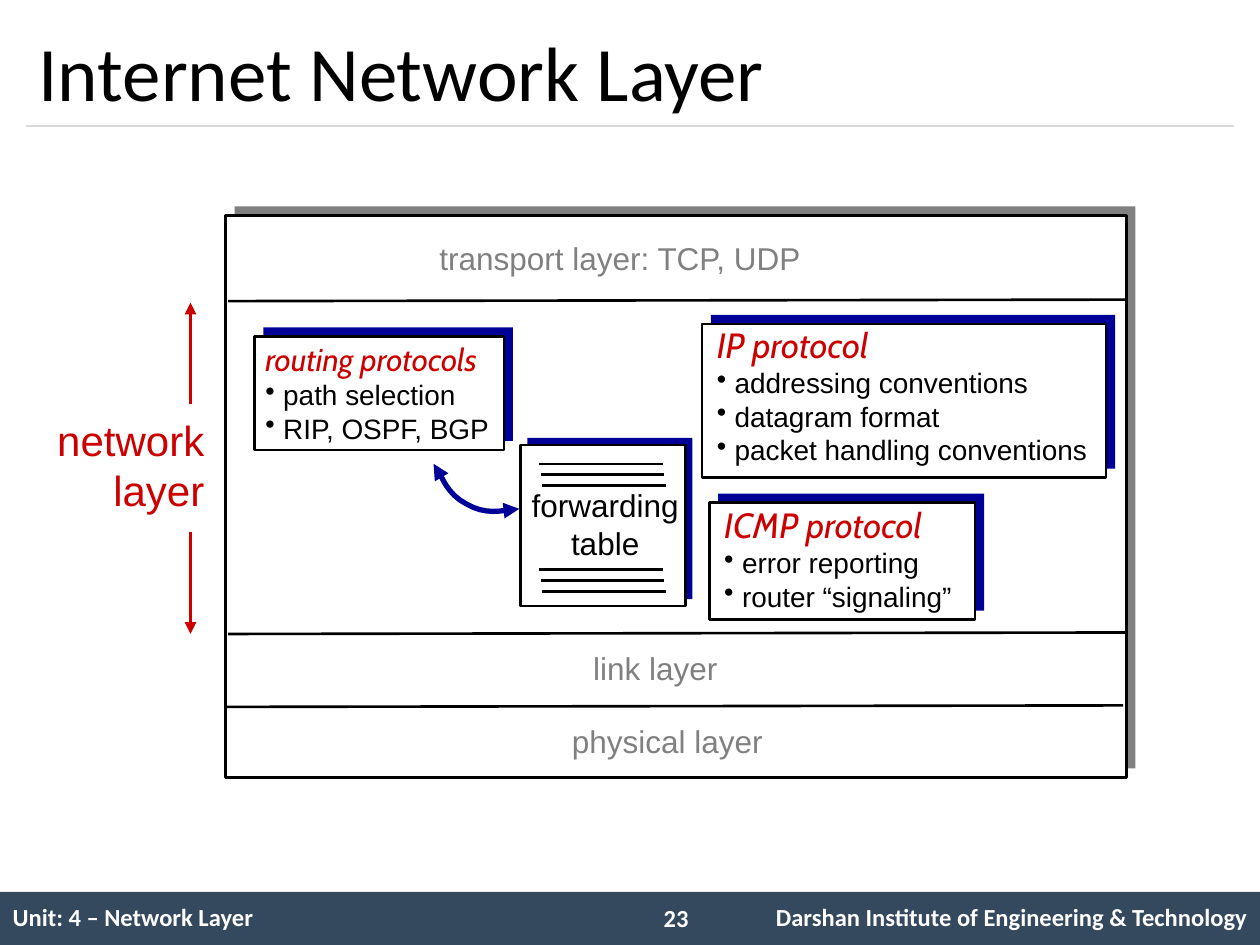
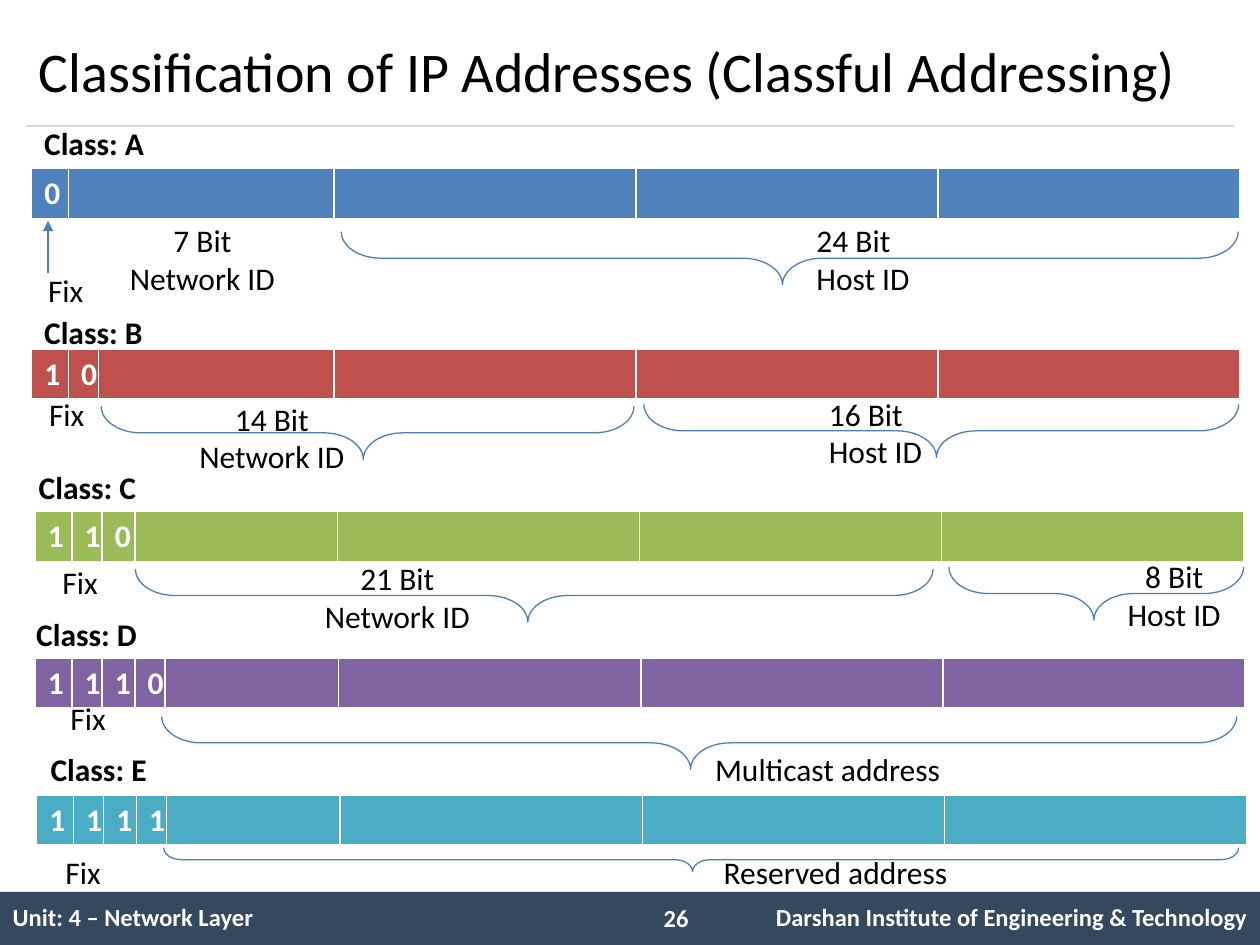
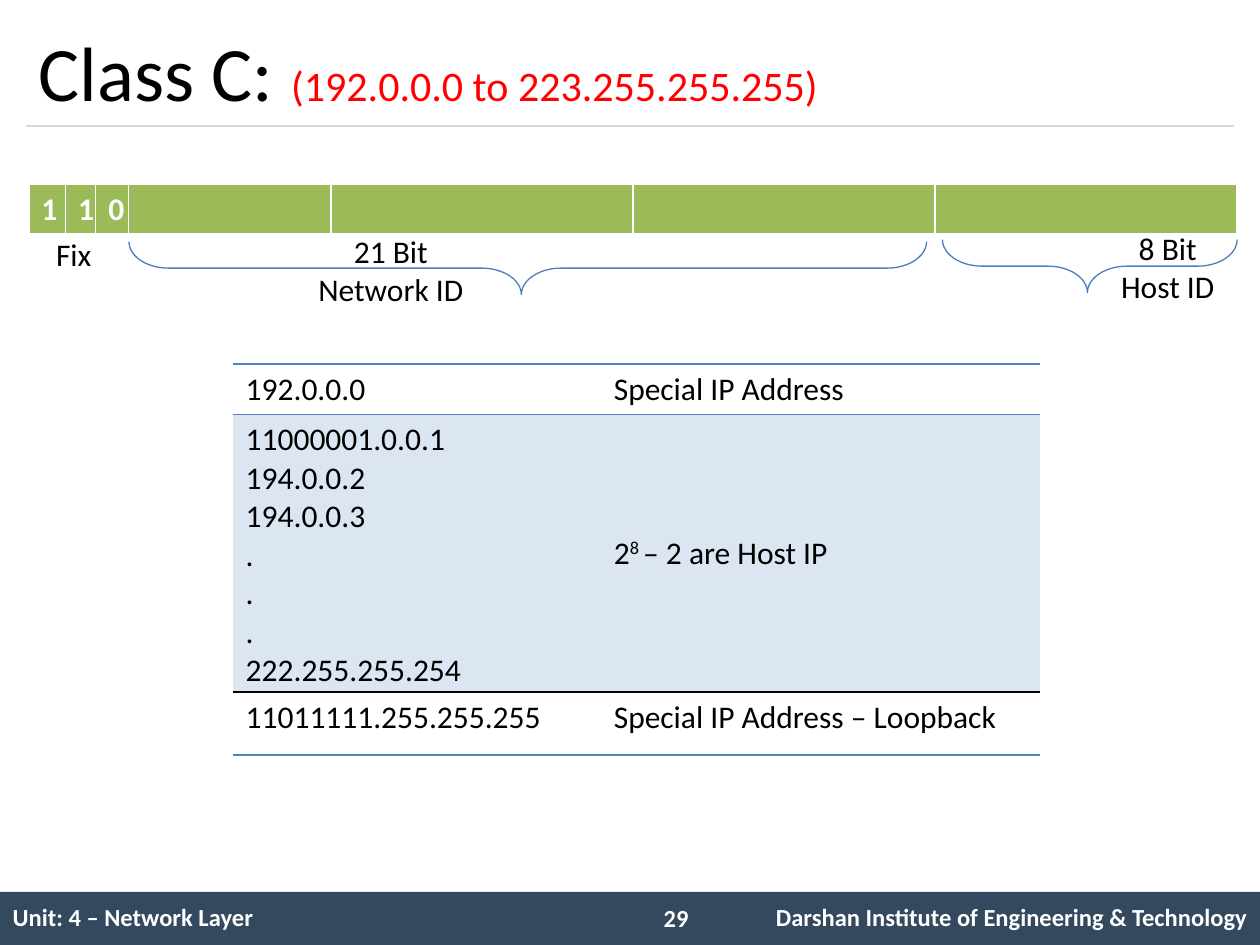
import pptx
import pptx.util
import pptx.dml.color
import pptx.enum.shapes
import pptx.enum.text
import pptx.oxml.ns
from lxml import etree

Cm = pptx.util.Cm
Pt = pptx.util.Pt
RGB = pptx.dml.color.RGBColor
Shape = pptx.enum.shapes.MSO_SHAPE
Align = pptx.enum.text.PP_ALIGN
Anchor = pptx.enum.text.MSO_ANCHOR
qn = pptx.oxml.ns.qn

BLACK = RGB(0, 0, 0)
WHITE = RGB(255, 255, 255)
SLATE = RGB(0x34, 0x49, 0x5E)
RULE = RGB(0xD9, 0xD9, 0xD9)
GRAY = RGB(0x80, 0x80, 0x80)
NAVY = RGB(0, 0, 0x99)
CRIMSON = RGB(0xCC, 0, 0)
RED = RGB(255, 0, 0)
BRACE = RGB(0x4B, 0x7E, 0xBC)
BLUE = RGB(0x4F, 0x81, 0xBD)
PALE = RGB(0xDC, 0xE6, 0xF2)
BRICK = RGB(0xC0, 0x50, 0x4D)
GREEN = RGB(0x9B, 0xBB, 0x59)
PURPLE = RGB(0x80, 0x64, 0xA2)
TEAL = RGB(0x4B, 0xAC, 0xC6)

PLAIN = "{2D5ABB26-0587-4C30-8999-92F81FD0307C}"
WIDTH, HEIGHT = 25.4, 19.05
BITS = (0.74, 0.61, 0.66, 0.58)
OCTET = 6.09
BAR = 1.04

CLASS_C = dict(
    bits="110", color=GREEN, fix=(0.3, 0.91),
    braces=[(2.02, 1.16, 16.08, 1.07), (18.42, 1.12, 5.94, 1.07)],
    notes=[("21 Bit Network ID", 5.56, 0.84, 3.48, Align.CENTER),
           ("8 Bit Host ID", 21.56, 0.79, 2.8, Align.CENTER)])

CLASSES = [
    ("Class: A", 0.64, 3.4, (0, -1.02, 2.54), dict(
        bits="0", color=BLUE, fix=(0.08, 1.93),
        braces=[(6.24, 1.27, 18.08, 1.07)],
        notes=[("7 Bit Network ID", 1.7, 0.94, 3.48, Align.CENTER),
               ("24 Bit Host ID", 15.57, 0.94, 2.84, Align.LEFT)])),
    ("Class: B", 0.64, 7.04, (0, -0.86, 2.51), dict(
        bits="10", color=BRICK, fix=(0.1, 0.79),
        braces=[(1.4, 1.15, 10.74, 1.07), (12.34, 1.11, 11.99, 1.07)],
        notes=[("14 Bit Network ID", 3.1, 0.89, 3.48, Align.CENTER),
               ("16 Bit Host ID", 15.82, 0.79, 2.84, Align.LEFT)])),
    ("Class: C", 0.71, 10.31, (-0.18, -0.99, 2.49), CLASS_C),
    ("Class: D", 0.71, 13.26, (-0.23, -0.99, 2.57), dict(
        bits="1110", color=PURPLE, fix=(0.46, 0.71),
        braces=[(2.55, 1.18, 21.67, 1.07)],
        notes=[("Multicast address", 12.95, 1.73, 6.05, Align.CENTER)])),
    ("Class: E", 0.74, 16.03, (0.03, -1.04, 2.46), dict(
        bits="1111", color=TEAL, fix=(0.33, 1.04),
        braces=[(2.56, 1.06, 21.67, 0.48)],
        notes=[("Reserved address", 13.08, 1.04, 6.05, Align.CENTER)])),
]


def style(para, size=18, color=BLACK, face="Calibri", bold=False,
          italic=False, align=Align.LEFT):
    para.alignment = align
    font = para.font
    font.size = Pt(size)
    font.name = face
    font.bold = bold
    font.italic = italic
    font.color.rgb = color


def fill_text(frame, lines, **look):
    for i, line in enumerate(lines):
        para = frame.paragraphs[0] if i == 0 else frame.add_paragraph()
        para.text = line
        style(para, **look)


def text(slide, x, y, w, h, lines, wrap=True, **look):
    frame = slide.shapes.add_textbox(Cm(x), Cm(y), Cm(w), Cm(h)).text_frame
    frame.word_wrap = wrap
    frame.auto_size = pptx.enum.text.MSO_AUTO_SIZE.SHAPE_TO_FIT_TEXT
    fill_text(frame, lines, **look)
    return frame


def rect(slide, x, y, w, h, color, edge=None):
    shape = slide.shapes.add_shape(Shape.RECTANGLE, Cm(x), Cm(y), Cm(w), Cm(h))
    shape.shadow.inherit = False
    shape.fill.solid()
    shape.fill.fore_color.rgb = color
    if edge is None:
        shape.line.fill.background()
    else:
        shape.line.color.rgb = edge
        shape.line.width = Pt(1.5)


def tips(shape, *ends):
    ln = shape.line._get_or_add_ln()
    for end in ends:
        etree.SubElement(ln, qn("a:" + end)).set("type", "triangle")


def line(slide, x1, y1, x2, y2, color=BLACK, width=1.5, arrow=False):
    link = slide.shapes.add_connector(
        pptx.enum.shapes.MSO_CONNECTOR.STRAIGHT, Cm(x1), Cm(y1), Cm(x2), Cm(y2))
    link.line.color.rgb = color
    link.line.width = Pt(width)
    if arrow:
        tips(link, "tailEnd")
    etree.SubElement(link._element.spPr, qn("a:effectLst"))


def grid(slide, x, y, cols, rows):
    table = slide.shapes.add_table(
        len(rows), len(cols), Cm(x), Cm(y), Cm(sum(cols)), Cm(sum(rows))).table
    table.first_row = table.horz_banding = False
    table._tbl.tblPr.find(qn("a:tableStyleId")).text = PLAIN
    for col, size in zip(table.columns, cols):
        col.width = Cm(size)
    for row, size in zip(table.rows, rows):
        row.height = Cm(size)
    return table


def border(cell, **sides):
    props = cell._tc.get_or_add_tcPr()
    for side in "LRTB":
        if side in sides:
            color, width = sides[side]
            ln = etree.SubElement(props, qn("a:ln" + side))
            ln.set("w", str(Pt(width)))
            solid = etree.SubElement(ln, qn("a:solidFill"))
            etree.SubElement(solid, qn("a:srgbClr")).set("val", str(color))


def paint(cell, color=None):
    if color is None:
        cell.fill.background()
    else:
        cell.fill.solid()
        cell.fill.fore_color.rgb = color


def base(deck, number):
    slide = deck.slides.add_slide(deck.slide_layouts[6])
    top = 17.98
    rect(slide, 0, top, WIDTH, HEIGHT - top, SLATE)
    line(slide, 0.53, 2.54, 24.87, 2.54, RULE, 0.75)
    foot = grid(slide, 0, top, (12.9, 1.7, 10.8), (1.07,))
    words = ("Unit: 4 – Network Layer", "",
             "Darshan Institute of Engineering & Technology")
    sides = (Align.LEFT, Align.CENTER, Align.RIGHT)
    for cell, word, side in zip(foot.rows[0].cells, words, sides):
        paint(cell)
        cell.vertical_anchor = Anchor.MIDDLE
        fill_text(cell.text_frame, [word], size=14, color=WHITE, bold=True,
                  align=side)
    text(slide, 13.13, 18.08, 1.47, 0.86, [str(number)], size=14, color=WHITE,
         bold=True)
    return slide


def title(slide, words, size=44):
    frame = text(slide, 0.53, 0.3, 24.34, 2.24, [words], size=size)
    frame.auto_size = pptx.enum.text.MSO_AUTO_SIZE.NONE
    frame.vertical_anchor = Anchor.MIDDLE
    return frame.paragraphs[0]


def raised(slide, x, y, w, h, shade=NAVY, lift=0.18):
    rect(slide, x + lift, y - lift, w, h, shade)
    rect(slide, x, y, w, h, WHITE, BLACK)


def card(slide, x, y, w, h, head, items, size=20, dx=0.05, dy=-0.1):
    raised(slide, x, y, w, h)
    frame = text(slide, x + dx, y + dy, w, h, [head], wrap=False, size=size,
                 color=CRIMSON, face="Cabin", italic=True)
    for item in items:
        para = frame.add_paragraph()
        para.text = item
        props = para._p.get_or_add_pPr()
        props.set("marL", str(Cm(0.36)))
        props.set("indent", str(-Cm(0.36)))
        etree.SubElement(props, qn("a:buChar")).set("char", "•")
        style(para, size=16, face="Arial")


def lookup(slide, x, y, w, h):
    raised(slide, x, y, w, h, lift=0.14)
    text(slide, x - 0.03, y + 0.71, 3.48, 1.78, ["forwarding", "table"],
         wrap=False, face="Arial", align=Align.CENTER)
    for top in (0.38, 2.51):
        for i in range(3):
            left, level = x + 0.38 + 0.03 * i, y + top + 0.22 * i
            line(slide, left, level, left + 2.49, level)


def curve(slide, x, y):
    knots = [(0, 0), (0.13, 0.08), (0.18, 0.56), (0.66, 0.81),
             (1.14, 1.09), (1.52, 0.89), (1.73, 0.91)]
    steps = 10
    dots = []
    for first in (0, 3):
        for i in range(1, steps + 1):
            t = i / steps
            blend = ((1 - t) ** 3, 3 * t * (1 - t) ** 2,
                     3 * t * t * (1 - t), t ** 3)
            part = list(zip(blend, knots[first:first + 4]))
            dots.append((Cm(x + sum(b * k[0] for b, k in part)),
                         Cm(y + sum(b * k[1] for b, k in part))))
    maker = slide.shapes.build_freeform(Cm(x), Cm(y))
    maker.add_line_segments(dots, close=False)
    shape = maker.convert_to_shape()
    shape.shadow.inherit = False
    shape.fill.background()
    shape.line.color.rgb = NAVY
    shape.line.width = Pt(3)
    tips(shape, "headEnd", "tailEnd")


def stack(slide, x, y, w, h):
    raised(slide, x, y, w, h, GRAY)
    for dx, dy in ((0.05, 1.73), (0.05, 8.44), (-0.03, 9.91)):
        line(slide, x + dx, y + dy, x + dx + w - 0.04, y + dy - 0.03)
    for word, dx, dy, size in (
            ("transport layer: TCP, UDP", 4.06, 0.36, 7.87),
            ("link layer", 7.16, 8.61, 3.02),
            ("physical layer", 6.73, 10.09, 4.37)):
        text(slide, x + dx, y + dy, size, 1.02, [word], wrap=False,
             color=GRAY, face="Arial")
    lookup(slide, x + 5.94, y + 4.63, 3.33, 3.25)
    card(slide, x + 0.58, y + 2.44, 5.03, 2.29, "routing protocols",
         ["path selection", "RIP, OSPF, BGP"], size=18, dx=-0.03, dy=-0.05)
    curve(slide, x + 4.19, y + 5.01)
    card(slide, x + 9.6, y + 2.19, 8.15, 3.1, "IP protocol",
         ["addressing conventions", "datagram format",
          "packet handling conventions"], dy=-0.13)
    card(slide, x + 9.75, y + 5.79, 5.36, 2.36, "ICMP protocol",
         ["error reporting", "router “signaling”"])
    text(slide, x - 3.66, y + 3.89, 3.48, 2.29, ["network", "layer"],
         wrap=False, size=24, color=CRIMSON, face="Arial", align=Align.RIGHT)
    for start, end in ((3.81, 1.76), (6.38, 8.44)):
        line(slide, x - 0.71, y + start, x - 0.71, y + end, CRIMSON, 2.25, True)


def brace(slide, x, y, w, h):
    shape = slide.shapes.add_shape(
        Shape.LEFT_BRACE, Cm(x + (w - h) / 2), Cm(y + (h - w) / 2), Cm(h), Cm(w))
    shape.rotation = 270
    shape.adjustments[0] = 0.744
    shape.adjustments[1] = 0.492
    shape.shadow.inherit = False
    shape.fill.background()
    shape.line.color.rgb = BRACE
    shape.line.width = Pt(0.75)


def address(slide, x, y, bits, color, fix, braces, notes):
    heads = BITS[:len(bits)]
    cols = (*heads, OCTET - sum(heads), OCTET, OCTET, OCTET)
    table = grid(slide, x, y, cols, (BAR,))
    thin, thick = (WHITE, 1), (WHITE, 3)
    for i, cell in enumerate(table.rows[0].cells):
        border(cell, L=thin, R=thin, T=thin, B=thick)
        paint(cell, color)
        fill_text(cell.text_frame, [bits[i:i + 1]], color=WHITE, bold=True,
                  align=Align.CENTER if i else Align.LEFT)
    text(slide, x + fix[0], y + fix[1], 1.37, 1.07, ["Fix"])
    for dx, dy, w, h in braces:
        brace(slide, x + dx, y + dy, w, h)
    for word, dx, dy, w, side in notes:
        text(slide, x + dx, y + dy, w, 1.02, [word], align=side)


def ranges(slide, x, y):
    table = grid(slide, x, y, (7.42, 8.84), (1, 5.59, 1.27))
    blue, black = (BLUE, 1), (BLACK, 1)
    rows = [
        (["192.0.0.0"], ["Special IP Address"], None, blue, blue),
        (["11000001.0.0.1", "194.0.0.2", "194.0.0.3", ".", ".", ".",
          "222.255.255.254"], [""], PALE, blue, black),
        (["11011111.255.255.255"], ["Special IP Address – Loopback"], None,
         black, blue),
    ]
    for row, (left, right, color, top, low) in zip(table.rows, rows):
        for cell, lines in zip(row.cells, (left, right)):
            border(cell, T=top, B=low)
            paint(cell, color)
            fill_text(cell.text_frame, lines)
    hosts = table.cell(1, 1)
    hosts.vertical_anchor = Anchor.MIDDLE
    para = hosts.text_frame.paragraphs[0]
    para.clear()
    for word, lift in (("2", 0), ("8 ", 30000), ("– 2 are Host IP", 0)):
        run = para.add_run()
        run.text = word
        if lift:
            run._r.get_or_add_rPr().set("baseline", str(lift))


def layers(deck):
    slide = base(deck, 23)
    title(slide, "Internet Network Layer")
    stack(slide, 4.55, 4.34, 18.16, 11.33)


def classes(deck):
    slide = base(deck, 26)
    title(slide, "Classification of IP Addresses (Classful Addressing)", 32)
    for name, x, y, (dx, dy, w), parts in CLASSES:
        address(slide, x, y, **parts)
        text(slide, x + dx, y + dy, w, 1.02, [name], wrap=False, bold=True)
    line(slide, 0.97, 5.51, 0.97, 4.45, BRACE, 0.75, True)


def detail(deck):
    slide = base(deck, 29)
    para = title(slide, "Class C: ")
    run = para.add_run()
    run.text = "(192.0.0.0 to 223.255.255.255)"
    run.font.size = Pt(24)
    run.font.color.rgb = RED
    address(slide, 0.58, 3.71, **CLASS_C)
    ranges(slide, 4.7, 7.34)


def main():
    deck = pptx.Presentation()
    deck.slide_width = Cm(WIDTH)
    deck.slide_height = Cm(HEIGHT)
    layers(deck)
    classes(deck)
    detail(deck)
    deck.save("out.pptx")


if __name__ == "__main__":
    main()
